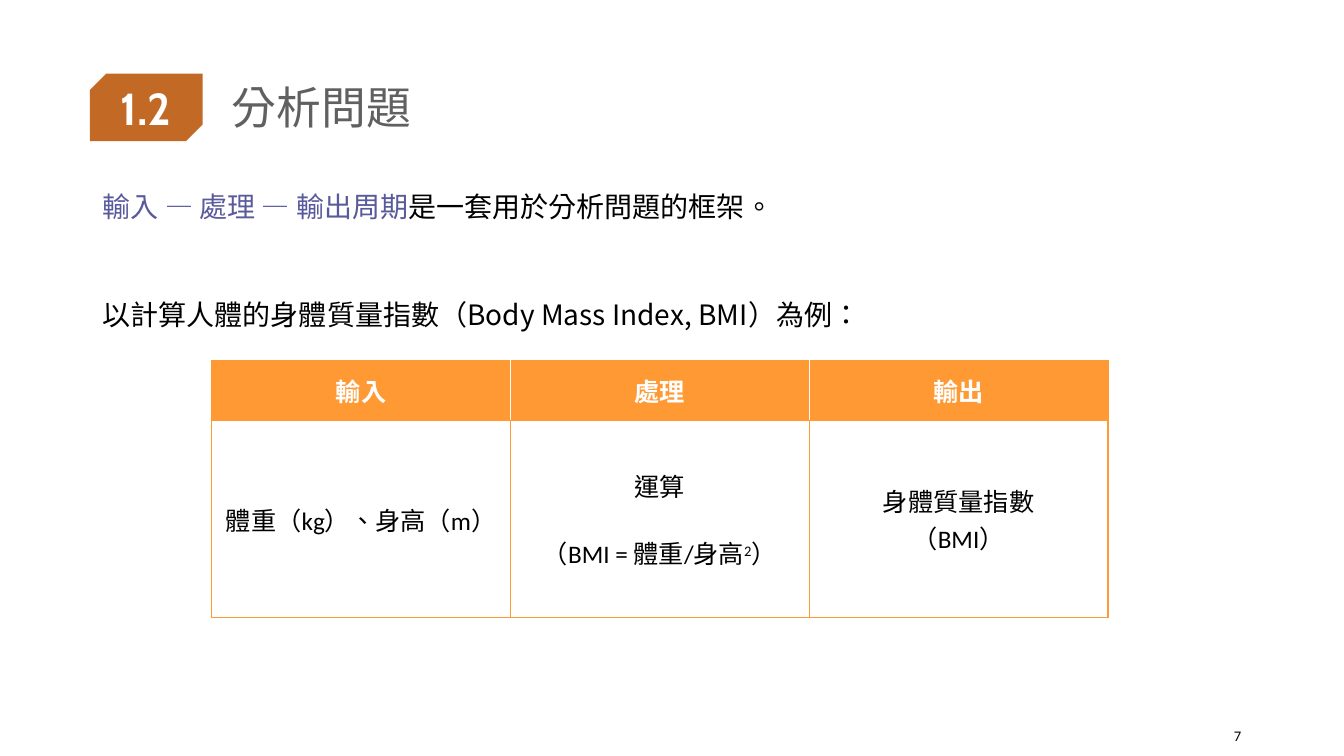
from lxml import etree
from pptx import Presentation
from pptx.dml.color import RGBColor
from pptx.enum.shapes import MSO_SHAPE
from pptx.enum.text import MSO_ANCHOR, PP_ALIGN
from pptx.oxml.ns import qn
from pptx.util import Inches, Pt

SNIP = MSO_SHAPE.SNIP_2_DIAG_RECTANGLE
MID, TOP = MSO_ANCHOR.MIDDLE, MSO_ANCHOR.TOP
LEFT, MIDDLE, RIGHT = PP_ALIGN.LEFT, PP_ALIGN.CENTER, PP_ALIGN.RIGHT
RUST = RGBColor(0xC2, 0x6A, 0x25)
GREY = RGBColor(0x60, 0x60, 0x60)
VIOLET = RGBColor(0x59, 0x5A, 0x9C)
ORANGE = RGBColor(0xFF, 0x99, 0x33)
WHITE = RGBColor(0xFF, 0xFF, 0xFF)
BLACK = RGBColor(0, 0, 0)
NOTO, CABIN, BODY = "Noto Sans CJK TC", "Cabin", "Calibri"
WIDE, HIGH = 13.33, 7.5
HEADS = ["輸入", "處理", "輸出"]
CELLS = [
    ["體重（kg）、身高（m）"],
    ["運算", "（BMI = 體重/身高", "2", "）"],
    ["身體質量指數", "（BMI）"],
]


def style(run, size, face, color, bold=False):
    """Give a run its size, typeface, colour and language."""
    font = run.font
    font.size, font.name, font.bold = Pt(size), face, bold
    font.color.rgb = color
    props = run._r.get_or_add_rPr()
    props.set("lang", "zh-TW")
    if face == NOTO:
        east = etree.Element(qn("a:ea"), typeface=face)
        props.find(qn("a:latin")).addnext(east)


def add_text(para, text, *look):
    """Append one styled run to a paragraph."""
    run = para.add_run()
    run.text = text
    style(run, *look)
    return run


def add_box(slide, box, anchor, align=LEFT):
    """Add a wrapping text box and return its frame."""
    frame = slide.shapes.add_textbox(*map(Inches, box)).text_frame
    frame.word_wrap = True
    frame.vertical_anchor = anchor
    frame.paragraphs[0].alignment = align
    return frame


def add_head(slide, box):
    """Place the section badge and the title beside it."""
    left, top, wide, high = box
    badge = slide.shapes.add_shape(
        SNIP, Inches(left), Inches(top + 0.33), Inches(1.12), Inches(0.67))
    badge.adjustments[0], badge.adjustments[1] = 0.245, 0
    badge.shadow.inherit = False
    badge.fill.solid()
    badge.fill.fore_color.rgb = RUST
    badge.line.fill.background()
    badge.text_frame.vertical_anchor = MID
    para = badge.text_frame.paragraphs[0]
    para.alignment = MIDDLE
    add_text(para, "1.2", 32, CABIN, WHITE, True)
    frame = add_box(slide, (left + 1.21, top, wide - 1.21, high), MID)
    frame.margin_left = Inches(0.2)
    para = frame.paragraphs[0]
    para.line_spacing = 0.9
    add_text(para, "分析問題", 32, NOTO, GREY)


def add_body(slide, box):
    """Place the two statements above the table."""
    frame = add_box(slide, box, TOP)
    first, second = frame.paragraphs[0], frame.add_paragraph()
    first.line_spacing = second.line_spacing = 1.2
    second.space_before = Pt(48.5)
    add_text(first, "輸入 — 處理 — 輸出周期", 20, NOTO, VIOLET)
    add_text(first, "是一套用於分析問題的框架。", 20, NOTO, BLACK)
    add_text(second, "以計算人體的身體質量指數（Body Mass Index, BMI）為例：",
             20, NOTO, BLACK)


def set_edges(cell, colors):
    """Draw the left, right, top and bottom borders of a cell."""
    props = cell._tc.get_or_add_tcPr()
    for spot, (side, color) in enumerate(zip("LRTB", colors)):
        line = etree.Element(qn(f"a:ln{side}"), w=str(Pt(1)))
        fill = etree.SubElement(line, qn("a:solidFill"))
        etree.SubElement(fill, qn("a:srgbClr"), val=str(color))
        props.insert(spot, line)


def fill_cell(cell, lines, color, back, bold):
    """Write centred lines in a cell; a lone 2 becomes a superscript."""
    cell.fill.solid()
    cell.fill.fore_color.rgb = back
    cell.vertical_anchor = MID
    para = cell.text_frame.paragraphs[0]
    for spot, text in enumerate(lines):
        if spot == 1:
            para = cell.text_frame.add_paragraph()
            para.space_before = Pt(22 if "2" in lines else 0)
        para.alignment = MIDDLE
        run = add_text(para, text, 18, BODY, color, bold)
        if text == "2":
            run._r.get_or_add_rPr().set("baseline", "30000")


def add_grid(slide, box):
    """Place the input, process and output table."""
    count = len(HEADS)
    table = slide.shapes.add_table(2, count, *map(Inches, box)).table
    table.rows[0].height = Inches(0.59)
    table.rows[1].height = Inches(box[3] - 0.59)
    for col, (head, lines) in enumerate(zip(HEADS, CELLS)):
        table.columns[col].width = Inches(box[2] / count)
        top, low = table.cell(0, col), table.cell(1, col)
        fill_cell(top, [head], WHITE, ORANGE, True)
        fill_cell(low, lines, BLACK, WHITE, False)
        left = WHITE if col else ORANGE
        right = WHITE if col < count - 1 else ORANGE
        set_edges(top, [left, right, ORANGE, ORANGE])
        set_edges(low, [ORANGE] * 4)


def add_page(slide, box):
    """Place the page number."""
    para = add_box(slide, box, MID, RIGHT).paragraphs[0]
    add_text(para, "7", 10.5, BODY, BLACK)


def main():
    """Build the slide and save it."""
    deck = Presentation()
    deck.slide_width, deck.slide_height = Inches(WIDE), Inches(HIGH)
    slide = deck.slides.add_slide(deck.slide_layouts[6])
    add_head(slide, (0.89, 0.4, 11.53, 1.38))
    add_page(slide, (11.57, 7.1, 0.84, 0.4))
    add_body(slide, (0.92, 1.76, 11.5, 5.12))
    add_grid(slide, (2.1, 3.58, 8.89, 2.55))
    deck.save("out.pptx")


if __name__ == "__main__":
    main()
